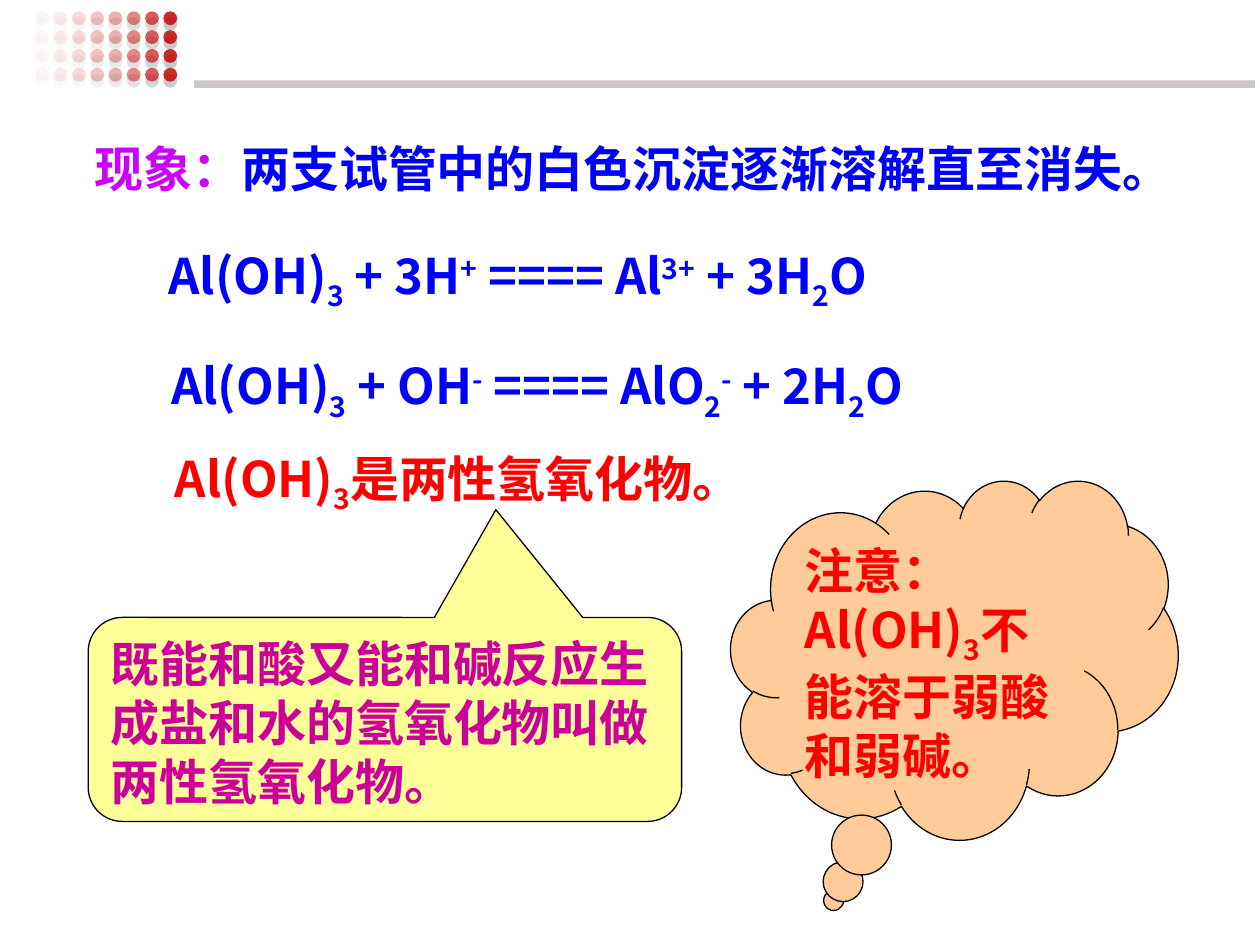
from pptx import Presentation
from pptx.dml.color import RGBColor
from pptx.enum.shapes import MSO_SHAPE
from pptx.enum.text import MSO_ANCHOR, MSO_AUTO_SIZE, PP_ALIGN
from pptx.oxml.ns import qn
from pptx.util import Pt
from lxml import etree

OVAL, RECT = MSO_SHAPE.OVAL, MSO_SHAPE.RECTANGLE
BUBBLE, CLOUD = MSO_SHAPE.ROUNDED_RECTANGULAR_CALLOUT, MSO_SHAPE.CLOUD_CALLOUT
TOP, LEFT, FIXED = MSO_ANCHOR.TOP, PP_ALIGN.LEFT, MSO_AUTO_SIZE.NONE

THEME = {
    "cjk": "Noto Sans CJK SC", "latin": "Arial", "size": 28,
    "violet": "CC00FF", "blue": "0000FF", "red": "FF0000", "plum": "CC0099",
    "yellow": "FFFF99", "peach": "FFCC99", "black": "000000",
    "dot": "C40404", "shade": "C0C0C0", "bar": "918485",
}
SUB, SUP = -25, 30

# Runs are (text, baseline shift in percent)
TITLE = [("现象：", 0, "violet"), ("两支试管中的白色沉淀逐渐溶解直至消失。", 0, "blue")]
ACID = [("Al(OH)", 0), ("3", SUB), (" + 3H", 0), ("+", SUP), (" ==== Al", 0),
        ("3+", SUP), (" + 3H", 0), ("2", SUB), ("O", 0)]
BASE = [("Al(OH)", 0), ("3", SUB), (" + OH", 0), ("-", SUP), (" ==== AlO", 0),
        ("2", SUB), ("-", SUP), (" + 2H", 0), ("2", SUB), ("O", 0)]
CLAIM = [("Al(OH)", 0), ("3", SUB), ("是两性氢氧化物。", 0)]
MEANING = [("既能和酸又能和碱反应生成盐和水的氢氧化物叫做两性氢氧化物。", 0)]
CAUTION = [("注意：Al(OH)", 0), ("3", SUB), ("不能溶于弱酸和弱碱。", 0)]

# Text, box (left, top, width, height), colour, line spacing
LINES = [
    (ACID, (89.3, 117.4, 549.4, 64.8), "blue", 1.5),
    (BASE, (90.7, 180.7, 549.4, 64.8), "blue", 1.5),
    (CLAIM, (92.9, 252.7, 445.7, 45.4), "red", 1),
]
# Kind, text, box, fill, text colour, font, adjustments
NOTES = [
    (BUBBLE, MEANING, (50.4, 352.8, 339.1, 116.6), "yellow", "plum", "latin",
     (0.187, -1.028, 0.167)),
    (CLOUD, CAUTION, (417.6, 274.3, 255.6, 205.2), "peach", "red", "cjk",
     (-0.27, 0.671)),
]

FADE = [4, 8, 15, 24, 32, 48, 66, 85]   # opacity of each dot column
ROWS, DOT = 4, 7.9
DOT_LEFT, DOT_STEP, ROW_STEP = 20.2, 10.45, 10.75
DOT_TOP, SHADE_TOP = 6.5, 9.9


def color(name):
    return RGBColor.from_string(THEME[name])


def points(box):
    return [Pt(v) for v in box]


def add_shape(slide, kind, box, fill, alpha=100):
    shape = slide.shapes.add_shape(kind, *points(box))
    shape.shadow.inherit = False
    shape.fill.solid()
    shape.fill.fore_color.rgb = color(fill)
    shape.line.fill.background()
    if alpha < 100:
        tone = shape.fill._xPr.find(qn("a:solidFill"))[0]
        etree.SubElement(tone, qn("a:alpha")).set("val", str(alpha * 1000))
    return shape


def add_dots(slide, top, fill):
    for col, alpha in enumerate(FADE):
        for row in range(ROWS):
            box = (DOT_LEFT + col * DOT_STEP, top + row * ROW_STEP, DOT, DOT)
            add_shape(slide, OVAL, box, fill, alpha)


def write(shape, runs, tint, face="cjk", space=1):
    frame = shape.text_frame
    frame.word_wrap = True
    frame.auto_size = FIXED
    frame.vertical_anchor = TOP
    para = frame.paragraphs[0]
    para.alignment = LEFT
    para.line_spacing = space
    para.space_before = Pt(0)
    for text, shift, *own in runs:
        run = para.add_run()
        run.text = text
        font = run.font
        font.size, font.bold = Pt(THEME["size"]), True
        font.color.rgb = color(own[0] if own else tint)
        font.name = THEME[face]
        props = run._r.get_or_add_rPr()
        etree.SubElement(props, qn("a:ea")).set("typeface", THEME["cjk"])
        if shift:
            props.set("baseline", str(shift * 1000))


def main():
    deck = Presentation()
    deck.slide_width, deck.slide_height = Pt(720), Pt(540)
    slide = deck.slides.add_slide(deck.slide_layouts[5])

    add_dots(slide, SHADE_TOP, "shade")
    add_shape(slide, RECT, (110.9, 46, 606.2, 4.3), "bar", 45)
    add_dots(slide, DOT_TOP, "dot")

    title = slide.shapes.title
    title.left, title.top, title.width, title.height = points((46.8, 59, 655.2, 57.6))
    write(title, TITLE, "blue", space=1.5)

    for runs, box, tint, space in LINES:
        write(slide.shapes.add_textbox(*points(box)), runs, tint, space=space)

    for kind, runs, box, fill, tint, face, bends in NOTES:
        note = add_shape(slide, kind, box, fill)
        note.line.color.rgb = color("black")
        note.line.width = Pt(0.75)
        for i, bend in enumerate(bends):
            note.adjustments[i] = bend
        write(note, runs, tint, face)

    deck.save("out.pptx")


if __name__ == "__main__":
    main()
